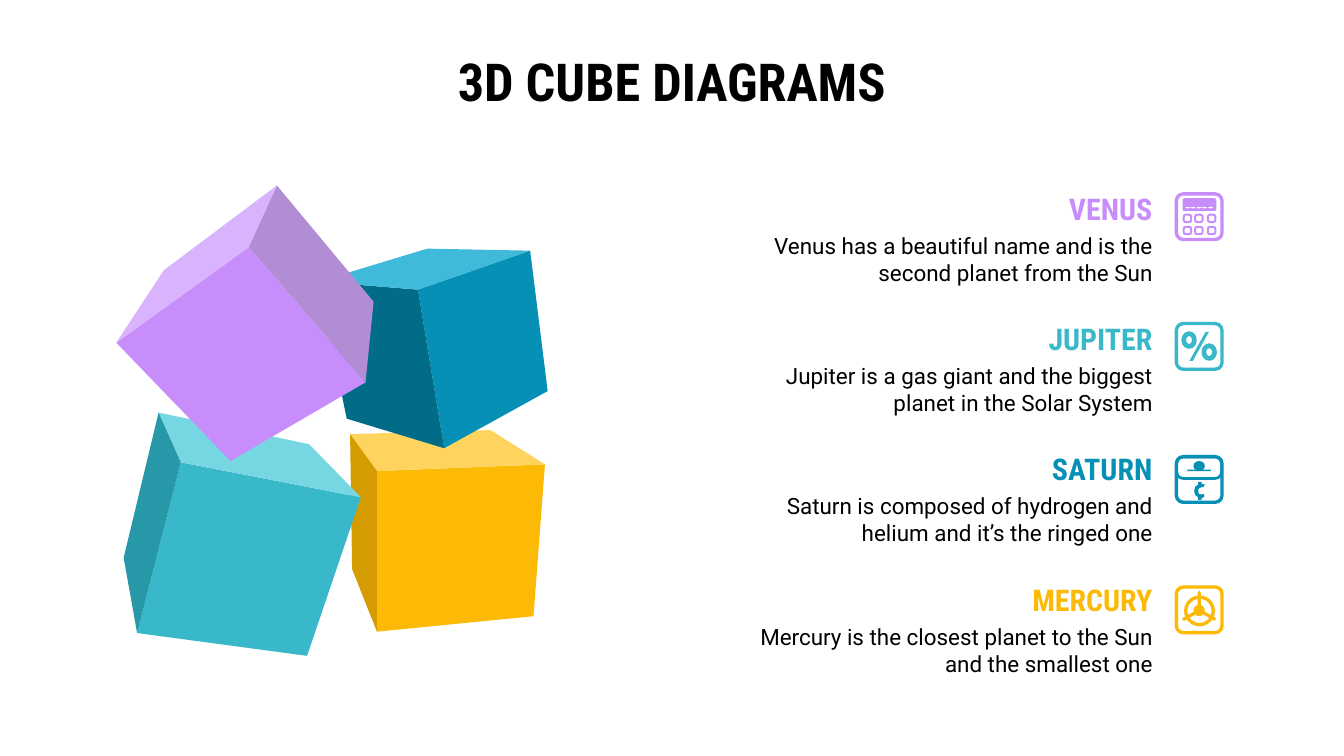
from pptx import Presentation
from pptx import util as u
from pptx.dml.color import RGBColor
from pptx.enum import shapes, text

PX = 9144  # 100 px to the inch
KIND = shapes.MSO_SHAPE
ROUND, OVAL, RECT = KIND.ROUNDED_RECTANGLE, KIND.OVAL, KIND.RECTANGLE
VIOLET, TEAL, BLUE, YELLOW = "C68DFB", "38B8C8", "0690B5", "FCBA06"

deck = Presentation()
deck.slide_width, deck.slide_height = 2000 * PX, 1125 * PX
page = deck.slides.add_slide(deck.slide_layouts[5])


def draw(outline, fill, line=0):
    """Draw a list of points, or (kind, x, y, w, h, corner radius); a line stays inside the bounds."""
    if isinstance(outline, list):
        builder = page.shapes.build_freeform(*outline[0], scale=PX)
        builder.add_line_segments(outline[1:])
        shape = builder.convert_to_shape()
    else:
        kind, x, y, w, h, radius = outline
        bounds = (x + line / 2, y + line / 2, w - line, h - line)
        shape = page.shapes.add_shape(kind, *(int(side * PX) for side in bounds))
        if kind == ROUND:
            shape.adjustments[0] = radius / min(w, h)
    shape.shadow.inherit = False
    if line:
        shape.fill.background()
        shape.line.color.rgb = RGBColor.from_string(fill)
        shape.line.width = line * PX
    else:
        shape.fill.solid()
        shape.fill.fore_color.rgb = RGBColor.from_string(fill)
        shape.line.fill.background()


def write(frame, words, font, size, color, align):
    """Fill a text frame with one paragraph and return it."""
    frame.word_wrap = True
    frame.auto_size = text.MSO_AUTO_SIZE.NONE
    frame.vertical_anchor = text.MSO_ANCHOR.TOP
    frame.margin_left = frame.margin_right = 20 * PX
    frame.margin_top = frame.margin_bottom = 20 * PX
    para = frame.paragraphs[0]
    para.alignment = align
    span = para.add_run()
    span.text = words
    span.font.name, span.font.size = font, u.Pt(size)
    span.font.bold = font == "Roboto Condensed"
    span.font.color.rgb = RGBColor.from_string(color)
    return para


title = page.shapes.title
title.left, title.top, title.width, title.height = 100 * PX, 53 * PX, 1800 * PX, 125 * PX
write(title.text_frame, "3D CUBE DIAGRAMS", "Roboto Condensed", 56, "000000", text.PP_ALIGN.CENTER)

# Cube faces, from the back cube to the front one
faces = [
    (YELLOW, [(811, 691), (561, 701), (561, 940), (794, 917)]),
    ("FFD45E", [(730, 640), (521, 646), (561, 701), (811, 691)]),
    ("D59C01", [(521, 646), (524, 847), (561, 940), (561, 701)]),
    (BLUE, [(789, 373), (622, 431), (661, 667), (815, 582)]),
    ("016C88", [(474, 419), (516, 623), (661, 667), (622, 431)]),
    ("3FBADB", [(636, 370), (474, 419), (622, 431), (789, 373)]),
    (TEAL, [(269, 688), (204, 942), (457, 976), (537, 740)]),
    ("76D7E3", [(236, 614), (269, 688), (537, 740), (460, 661)]),
    ("2798A7", [(236, 614), (184, 830), (204, 942), (269, 688)]),
    ("B18DD3", [(412, 276), (370, 368), (544, 569), (556, 449)]),
    (VIOLET, [(370, 368), (173, 510), (343, 686), (544, 569)]),
    ("DAB3FF", [(412, 276), (244, 402), (173, 510), (370, 368)]),
]
for color, points in faces:
    draw(points, color)

# Icon parts as (outline, line width), measured from the icon's corner
calculator = [((ROUND, 12, 9, 50, 19, 3), 0)]
calculator += [((ROUND, x, y, 14, 14, 4), 3) for y in (32, 50) for x in (12, 29, 48)]
percent = [
    ((OVAL, 10, 14, 23, 26, 0), 7),
    ((OVAL, 40, 32, 23, 26, 0), 7),
    ([(46, 15), (22, 58), (27, 58), (51, 15)], 0),
]
cash = [
    ((ROUND, 1, 1, 71, 36, 11), 4),
    ((RECT, 19, 22, 35, 2, 0), 0),
    ((OVAL, 28, 9, 17, 15, 0), 0),
    ([(35, 40), (35, 44), (31, 47), (29, 54), (31, 60), (35, 63), (35, 67),
      (40, 67), (40, 64), (44, 63), (44, 58), (40, 59), (36, 58), (35, 53),
      (36, 50), (40, 48), (43, 48), (45, 44), (40, 43), (40, 40)], 0),
]
wheel = [
    ((OVAL, 14, 15, 46, 46, 0), 5),
    ((OVAL, 28, 29, 17, 17, 0), 0),
    ([(37, 8), (34, 11), (34, 36), (13, 48), (11, 50), (14, 53), (37, 40),
      (59, 53), (62, 50), (61, 48), (39, 36), (39, 11)], 0),
]

planets = [
    ("VENUS", "Venus has a beautiful name and is the second planet from the Sun",
     VIOLET, 286, calculator),
    ("JUPITER", "Jupiter is a gas giant and the biggest planet in the Solar System",
     TEAL, 479, percent),
    ("SATURN", "Saturn is composed of hydrogen and helium and it’s the ringed one",
     BLUE, 677, cash),
    ("MERCURY", "Mercury is the closest planet to the Sun and the smallest one",
     YELLOW, 871, wheel),
]
icon_left = 1748
for row, (name, about, color, icon_top, parts) in enumerate(planets):
    for outline, line in [((ROUND, 0, 0, 73, 73, 11), 5)] + parts:
        if isinstance(outline, list):
            placed = [(icon_left + x, icon_top + y) for x, y in outline]
        else:
            kind, x, y, *rest = outline
            placed = (kind, icon_left + x, icon_top + y, *rest)
        draw(placed, color, line)

    top = 255 + 194 * row
    box = page.shapes.add_textbox(1107 * PX, (top + 70) * PX, 628 * PX, 125 * PX)
    write(box.text_frame, about, "Roboto", 24, "000000", text.PP_ALIGN.RIGHT)
    box = page.shapes.add_textbox(1107 * PX, top * PX, 628 * PX, 84 * PX)
    para = write(box.text_frame, name, "Roboto Condensed", 32, color, text.PP_ALIGN.RIGHT)
    para.line_spacing, para.space_after = 1.15, u.Pt(32)

# Digits on the calculator display
for digit in range(5):
    draw((OVAL, icon_left + 16 + digit * 17 // 2, 308, 7, 2, 0), "FFFFFF")

deck.save("out.pptx")
